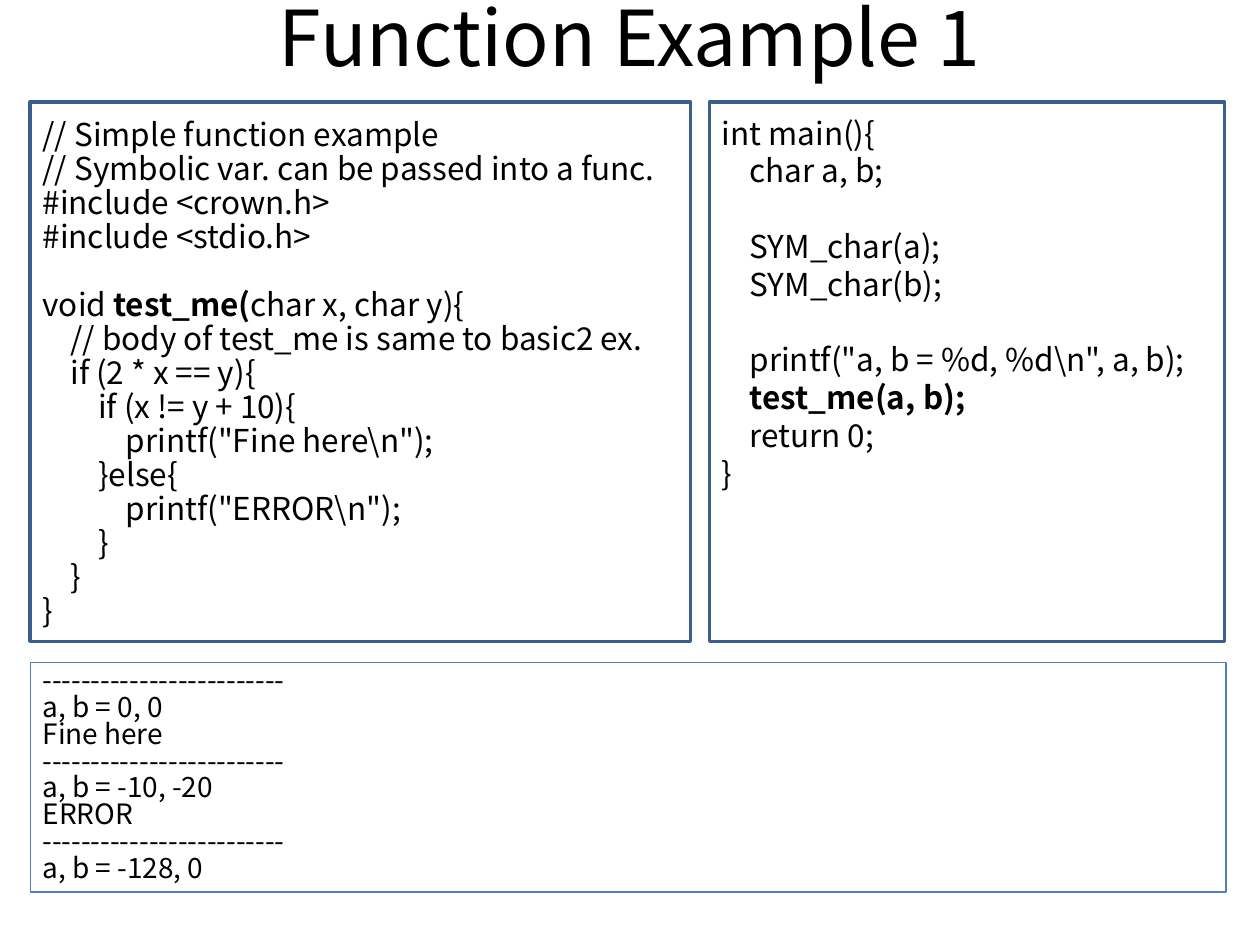
from dataclasses import dataclass

from pptx import Presentation
from pptx.dml.color import RGBColor
from pptx.enum.shapes import MSO_SHAPE
from pptx.enum.text import MSO_ANCHOR, MSO_AUTO_SIZE, PP_ALIGN
from pptx.util import Inches, Pt

RECTANGLE = MSO_SHAPE.RECTANGLE
MIDDLE, TOP = MSO_ANCHOR.MIDDLE, MSO_ANCHOR.TOP
GROW = MSO_AUTO_SIZE.SHAPE_TO_FIT_TEXT
CENTER, LEFT = PP_ALIGN.CENTER, PP_ALIGN.LEFT

BLACK = RGBColor(0x00, 0x00, 0x00)
CODE_BORDER = RGBColor(0x3A, 0x5F, 0x8C)
OUTPUT_BORDER = RGBColor(0x4F, 0x81, 0xBD)
FONT = "Noto Sans CJK KR"
WIDTH, HEIGHT = Inches(10), Inches(7.5)
INDENT = Inches(0.22)
LINE_HEIGHT = 1.2

FUNCTION_CODE = r"""// Simple function example
// Symbolic var. can be passed into a func.
#include <crown.h>
#include <stdio.h>

void **test_me(**char x, char y){
    // body of test_me is same to basic2 ex.
    if (2 * x == y){
        if (x != y + 10){
            printf("Fine here\n");
        }else{
            printf("ERROR\n");
        }
    }
}"""

MAIN_CODE = r"""int main(){
    char a, b;

    SYM_char(a);
    SYM_char(b);

    printf("a, b = %d, %d\n", a, b);
    **test_me(a, b);**
    return 0;
}"""

RULE = "-" * 25
OUTPUT = "\n".join([RULE, "a, b = 0, 0", "Fine here",
                    RULE, "a, b = -10, -20", "ERROR",
                    RULE, "a, b = -128, 0"])


@dataclass
class Box:
    left: int
    top: int
    width: int
    height: int

    def bounds(self):
        return self.left, self.top, self.width, self.height

    def inner(self, top, width, height):
        return Box(self.left, self.top + int(self.height * top),
                   int(self.width * width), int(self.height * height))


def percent_box(left, top, width, height):
    return Box(int(WIDTH * left / 100), int(HEIGHT * top / 100),
               int(WIDTH * width / 100), int(HEIGHT * height / 100))


def set_font(para, size):
    font = para.font
    font.name, font.size, font.color.rgb = FONT, Pt(size), BLACK


def write_lines(frame, text, size, spacing):
    frame.word_wrap = True
    frame.auto_size = GROW
    frame.vertical_anchor = TOP
    para, gap = frame.paragraphs[0], 0
    for number, line in enumerate(text.split("\n")):
        if not line:
            gap = size * LINE_HEIGHT * spacing
            continue
        if number:
            para = frame.add_paragraph()
        code = line.lstrip()
        level = (len(line) - len(code)) // 4
        para.alignment = LEFT
        para.line_spacing = spacing
        set_font(para, size)
        if level:
            properties = para._p.get_or_add_pPr()
            properties.set("marL", str(level * INDENT))
            properties.set("indent", "0")
        if gap:
            para.space_before = Pt(round(gap, 1))
            gap = 0
        for part, words in enumerate(code.split("**")):
            if words:
                span = para.add_run()
                span.text = words
                if part % 2:
                    span.font.bold = True


def add_frame(page, box, color, weight):
    frame = page.shapes.add_shape(RECTANGLE, *box.bounds())
    frame.shadow.inherit = False
    frame.fill.background()
    frame.line.color.rgb = color
    frame.line.width = Pt(weight)
    return frame


def add_title(page, box, text):
    title = page.shapes.title
    title.left, title.top, title.width, title.height = box.bounds()
    title.text_frame.text = text
    title.text_frame.vertical_anchor = MIDDLE
    para = title.text_frame.paragraphs[0]
    para.alignment = CENTER
    set_font(para, 44)


def add_code_panel(page, box, text_box, code, spacing):
    listing = page.shapes.add_textbox(*text_box.bounds())
    write_lines(listing.text_frame, code, 18, spacing)
    add_frame(page, box, CODE_BORDER, 2)


def add_output_panel(page, box, text):
    panel = add_frame(page, box, OUTPUT_BORDER, 0.75)
    write_lines(panel.text_frame, text, 16, 0.8)


deck = Presentation()
deck.slide_width, deck.slide_height = WIDTH, HEIGHT
page = deck.slides.add_slide(deck.slide_layouts.get_by_name("Title Only"))

function_box = percent_box(2.4, 10.8, 52.4, 57.07)
main_box = percent_box(56.3, 10.8, 40.9, 57.07)

add_title(page, percent_box(5, -4.53, 90, 16.67), "Function Example 1")
add_code_panel(page, function_box, function_box.inner(0.02, 0.99, 0.98), FUNCTION_CODE, 0.9)
add_code_panel(page, main_box, main_box.inner(0.01, 1, 0.73), MAIN_CODE, 1.0)
add_output_panel(page, percent_box(2.4, 70.13, 94.9, 24.27), OUTPUT)

deck.save("out.pptx")
